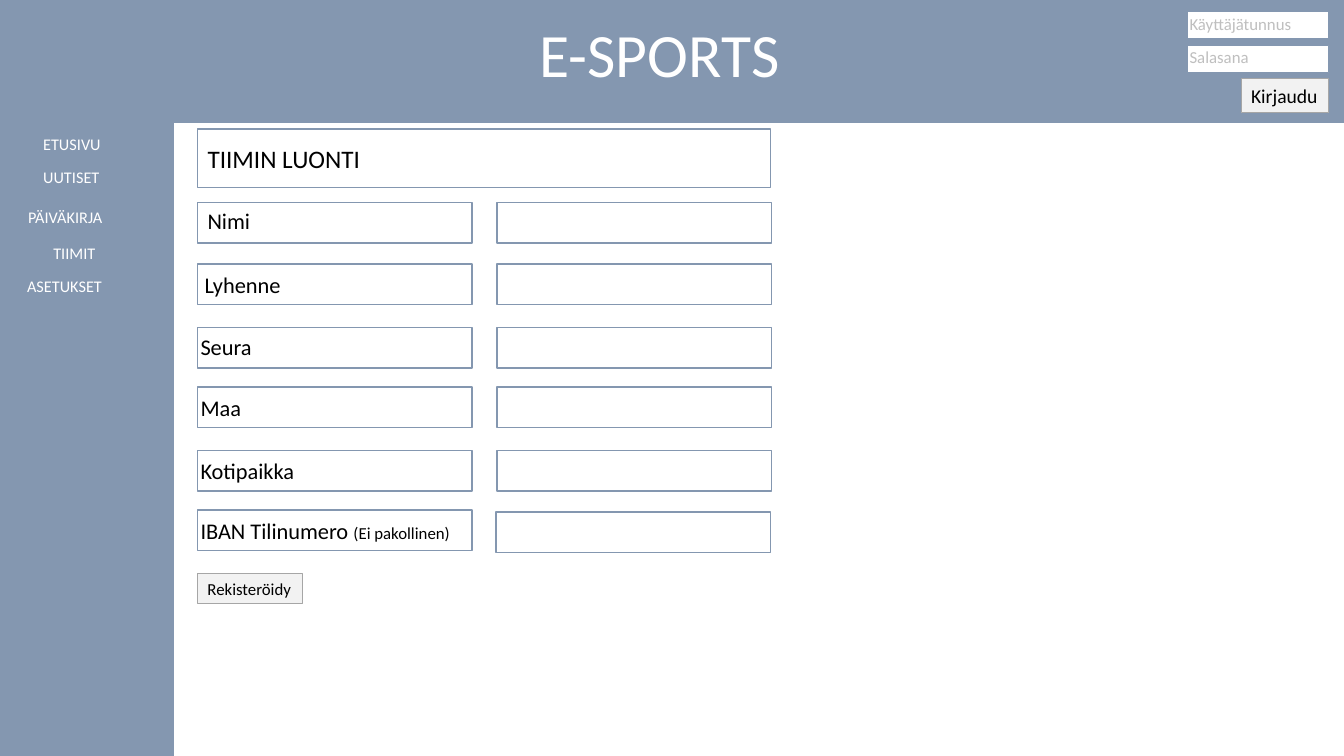
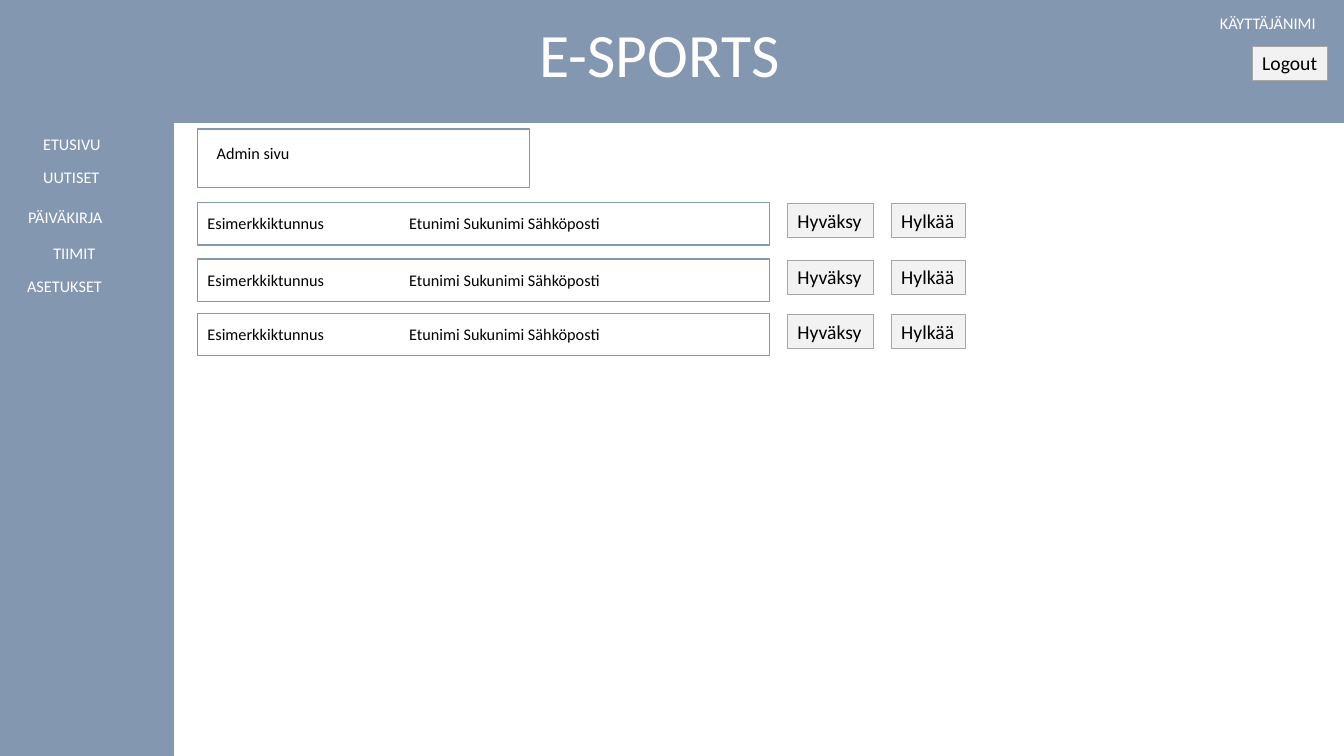
from pptx import Presentation
from pptx.dml.color import RGBColor
from pptx.enum.shapes import MSO_SHAPE
from pptx.enum.text import MSO_ANCHOR, MSO_AUTO_SIZE, PP_ALIGN
from pptx.oxml.xmlchemy import OxmlElement
from pptx.util import Inches, Pt

FONT = "Calibri"
SLATE, WHITE, BLACK = "8497B0", "FFFFFF", "000000"
BUTTON_FILL, BUTTON_EDGE, HINT = "F2F2F2", "A6A6A6", "BFBFBF"
SMALL = 11.6
LEFT, FIELD_LEFT = 1.96, 4.93
FIELD_SIZE = (2.72, 0.4)

NAVIGATION = [
    ("ETUSIVU", 0.33, 1.28, 0.77),
    ("UUTISET", 0.33, 1.61, 0.76),
    ("PÄIVÄKIRJA", 0.18, 2.01, 0.96),
    ("TIIMIT", 0.43, 2.36, 0.62),
    ("ASETUKSET", 0.17, 2.69, 0.95),
]
FORM_ROWS = [
    ("Nimi", 2.01, 1.96, 2.01),
    ("Lyhenne", 2.62, 1.93, 2.64),
    ("Seura", 3.25, 1.89, 3.26),
    ("Maa", 3.84, 1.89, 3.86),
    ("Kotipaikka", 4.47, 1.89, 4.49),
    ("IBAN Tilinumero ", 5.06, 1.89, 5.08),
]
REQUEST_TOPS = [2.01, 2.57, 3.11]


def rgb(value):
    return RGBColor.from_string(value)


def add_run(paragraph, text, size, color):
    run = paragraph.add_run()
    run.text = text
    run.font.name = FONT
    run.font.size = Pt(size)
    run.font.color.rgb = rgb(color)


def write(shape, text, size=SMALL, color=BLACK, wrap=True, suffix="",
          suffix_size=12, tab=None):
    frame = shape.text_frame
    frame.word_wrap = wrap
    frame.auto_size = MSO_AUTO_SIZE.SHAPE_TO_FIT_TEXT
    frame.vertical_anchor = MSO_ANCHOR.TOP
    paragraph = frame.paragraphs[0]
    paragraph.alignment = PP_ALIGN.LEFT
    add_run(paragraph, text, size, color)
    if suffix:
        add_run(paragraph, suffix, suffix_size, color)
    if tab:
        stops = OxmlElement("a:tabLst")
        stop = OxmlElement("a:tab")
        stop.set("pos", str(Inches(tab)))
        stop.set("algn", "l")
        stops.append(stop)
        paragraph._p.get_or_add_pPr().append(stops)


def add_label(slide, text, left, top, width, height=0.3, **style):
    label = slide.shapes.add_textbox(
        Inches(left), Inches(top), Inches(width), Inches(height))
    write(label, text, **style)


def add_box(slide, left, top, width, height, fill=WHITE, edge=SLATE, weight=1):
    box = slide.shapes.add_shape(
        MSO_SHAPE.RECTANGLE,
        Inches(left), Inches(top), Inches(width), Inches(height))
    box.shadow.inherit = False
    box.fill.solid()
    box.fill.fore_color.rgb = rgb(fill)
    box.line.color.rgb = rgb(edge)
    box.line.width = Pt(weight)
    return box


def add_button(slide, text, left, top, width, height=0.34, size=14):
    button = add_box(slide, left, top, width, height,
                     fill=BUTTON_FILL, edge=BUTTON_EDGE, weight=0.75)
    write(button, text, size=size, wrap=False)


def add_page(deck):
    slide = deck.slides.add_slide(deck.slide_layouts[5])
    add_box(slide, 0, 0, 13.33, 1.21, fill=SLATE)
    add_box(slide, 0, 1.21, 1.72, 6.29, fill=SLATE)
    title = slide.shapes.title
    title.left, title.top = Inches(5.25), Inches(0.11)
    title.width, title.height = Inches(2.83), Inches(0.84)
    write(title, "E-SPORTS", size=44, color=WHITE)
    title.element.getparent().append(title.element)
    for text, left, top, width in NAVIGATION:
        add_label(slide, text, left, top, width, color=WHITE, wrap=False)
    return slide


def add_team_form(deck):
    slide = add_page(deck)
    for hint, box_top, hint_top in [("Käyttäjätunnus", 0.11, 0.09),
                                    ("Salasana", 0.45, 0.41)]:
        add_box(slide, 11.78, box_top, 1.4, 0.27)
        add_label(slide, hint, 11.7, hint_top, 1.47, size=12, color=HINT)
    add_button(slide, "Kirjaudu", 12.31, 0.78, 0.87)

    add_box(slide, LEFT, 1.28, 5.68, 0.58)
    add_label(slide, "TIIMIN LUONTI", LEFT, 1.37, 2.75, 0.4, size=18)
    for text, top, text_left, text_top in FORM_ROWS:
        is_iban = text.startswith("IBAN")
        add_box(slide, LEFT, top, *FIELD_SIZE)
        if is_iban:
            add_box(slide, 4.92, 5.08, *FIELD_SIZE)
        else:
            add_box(slide, FIELD_LEFT, top, *FIELD_SIZE)
        add_label(slide, text, text_left, text_top, 2.72, 0.37, size=16,
                  suffix="(Ei pakollinen)" if is_iban else "")
    add_button(slide, "Rekisteröidy", LEFT, 5.69, 1.04, 0.3, size=12)


def add_admin_page(deck):
    slide = add_page(deck)
    add_label(slide, "KÄYTTÄJÄNIMI", 12, 0.08, 1.18, color=WHITE, wrap=False)
    add_button(slide, "Logout", 12.42, 0.46, 0.75)

    add_box(slide, LEFT, 1.28, 3.29, 0.58)
    add_label(slide, "Admin sivu", 2.05, 1.37, 2.25)
    for top in REQUEST_TOPS:
        add_box(slide, LEFT, top, 5.67, 0.42)
        add_label(slide, "Esimerkkiktunnus\tEtunimi Sukunimi Sähköposti ",
                  LEFT, top + 0.06, 5.5, tab=2)
        add_button(slide, "Hyväksy", 7.81, top + 0.01, 0.85)
        add_button(slide, "Hylkää", 8.84, top + 0.01, 0.74)


def main():
    deck = Presentation()
    deck.slide_width, deck.slide_height = Inches(13.33), Inches(7.5)
    add_team_form(deck)
    add_admin_page(deck)
    deck.save("out.pptx")


main()
